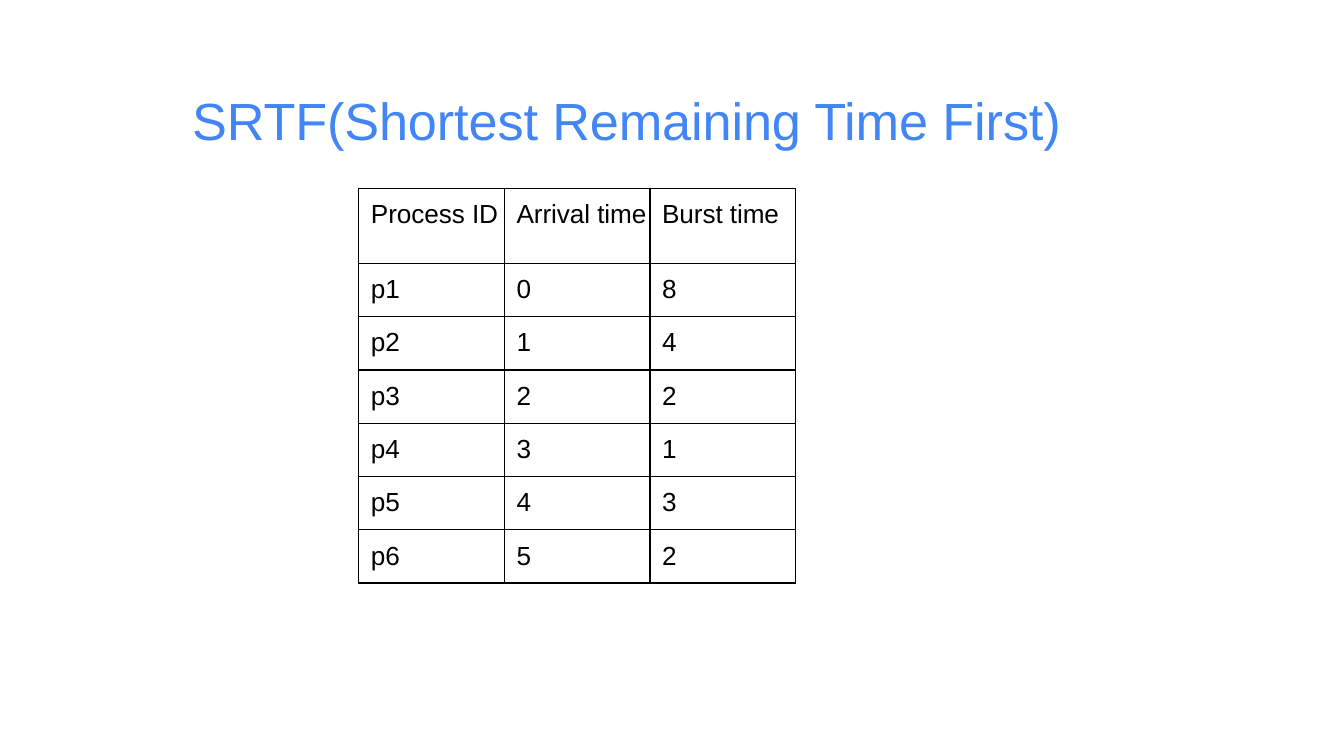
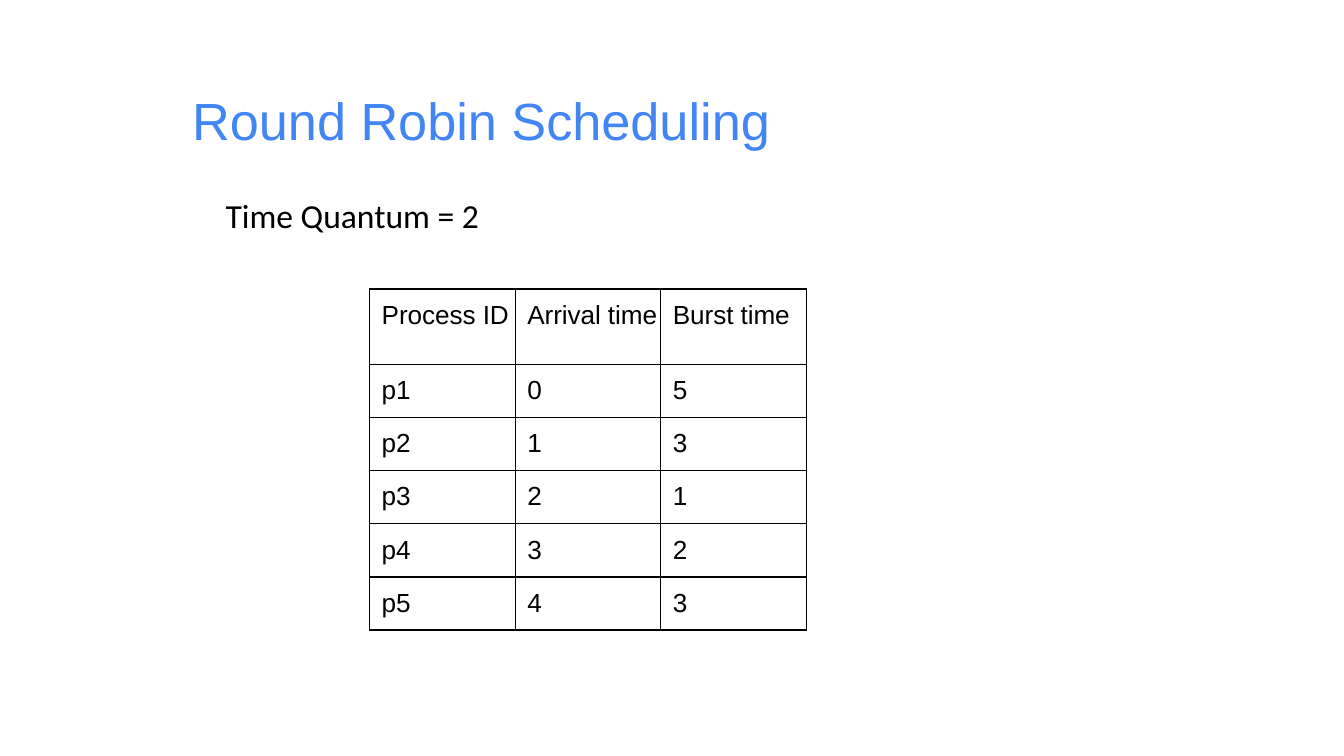
from dataclasses import dataclass

from lxml import etree
from pptx import Presentation
from pptx.dml.color import RGBColor
from pptx.enum import text as t
from pptx.oxml import ns
from pptx.util import Inches, Pt


@dataclass(frozen=True)
class Theme:
    background: str = "FFFFFF"
    title: str = "4285F4"
    ink: str = "000000"
    title_font: str = "Arial"
    note_font: str = "Calibri"
    title_size: float = 28
    note_size: float = 18
    cell_size: float = 14
    cell_gap: float = 6.2
    tight: float = -0.05
    border: float = 0.75


THEME = Theme()
SLIDE_WIDTH = 10
SLIDE_HEIGHT = SLIDE_WIDTH * 9 / 16
TITLE_BOX = (1.42, 0.65, 7.08, 0.49)
NOTE_BOX = (1.58, 1.4, 2.5, 0.4)
TABLE_WIDTH = 3.25
HEADER_HEIGHT = 0.56
HEADERS = ("Process ID", "Arrival time", "Burst time")

SLIDES = [
    {
        "title": "SRTF(Shortest Remaining Time First)",
        "title_spacing": THEME.tight,
        "table_box": (2.67, 1.4, TABLE_WIDTH, 2.94),
        "bursts": (8, 4, 2, 1, 3, 2),
    },
    {
        "title": "Round Robin Scheduling",
        "title_spacing": 0,
        "table_box": (2.75, 2.15, TABLE_WIDTH, 2.54),
        "bursts": (5, 3, 1, 2, 3),
        "note": "Time Quantum = 2",
    },
]


def inches(box):
    return [Inches(value) for value in box]


def write_text(frame, content, font=THEME.title_font, size=THEME.cell_size,
               color=THEME.ink, before=0, indent=0, spacing=0):
    paragraph = frame.paragraphs[0]
    paragraph.space_before = Pt(before)
    if indent:
        properties = paragraph._p.get_or_add_pPr()
        properties.set("marL", str(Inches(indent)))
        properties.set("indent", "0")
    run = paragraph.add_run()
    run.text = content
    run.font.name = font
    run.font.size = Pt(size)
    run.font.color.rgb = RGBColor.from_string(color)
    if spacing:
        run._r.get_or_add_rPr().set("spc", str(round(spacing * 100)))


def add_textbox(slide, box, content, **style):
    frame = slide.shapes.add_textbox(*inches(box)).text_frame
    frame.word_wrap = True
    frame.auto_size = t.MSO_AUTO_SIZE.SHAPE_TO_FIT_TEXT
    write_text(frame, content, **style)
    return frame


def add_title(slide, content, spacing):
    frame = add_textbox(slide, TITLE_BOX, content, size=THEME.title_size,
                        color=THEME.title, before=1, indent=0.01, spacing=spacing)
    frame.margin_left = frame.margin_right = frame.margin_bottom = 0
    frame.margin_top = Inches(0.01)


def add_borders(cell):
    properties = cell._tc.get_or_add_tcPr()
    for side in ("lnL", "lnR", "lnT", "lnB"):
        line = etree.SubElement(properties, ns.qn(f"a:{side}"), w=str(Pt(THEME.border)))
        fill = etree.SubElement(line, ns.qn("a:solidFill"))
        etree.SubElement(fill, ns.qn("a:srgbClr"), val=THEME.ink)


def add_process_table(slide, box, bursts):
    processes = [(f"p{arrival + 1}", str(arrival), str(burst))
                 for arrival, burst in enumerate(bursts)]
    rows = [HEADERS, *processes]
    table = slide.shapes.add_table(len(rows), len(HEADERS), *inches(box)).table
    table.first_row = table.horz_banding = False
    for column in table.columns:
        column.width = Inches(TABLE_WIDTH / len(HEADERS))
    body_height = (box[3] - HEADER_HEIGHT) / len(processes)
    for row_index, values in enumerate(rows):
        table.rows[row_index].height = Inches(body_height if row_index else HEADER_HEIGHT)
        for column_index, value in enumerate(values):
            cell = table.cell(row_index, column_index)
            cell.margin_left = cell.margin_right = cell.margin_bottom = 0
            cell.margin_top = Pt(THEME.cell_gap)
            add_borders(cell)
            cell.fill.background()
            write_text(cell.text_frame, value, before=THEME.cell_gap, indent=0.09,
                       spacing=0 if value.isdigit() else THEME.tight)


def main():
    presentation = Presentation()
    presentation.slide_width = Inches(SLIDE_WIDTH)
    presentation.slide_height = Inches(SLIDE_HEIGHT)
    for content in SLIDES:
        slide = presentation.slides.add_slide(presentation.slide_layouts[6])
        slide.background.fill.solid()
        slide.background.fill.fore_color.rgb = RGBColor.from_string(THEME.background)
        add_title(slide, content["title"], content["title_spacing"])
        add_process_table(slide, content["table_box"], content["bursts"])
        if "note" in content:
            add_textbox(slide, NOTE_BOX, content["note"],
                        font=THEME.note_font, size=THEME.note_size)
    presentation.save("out.pptx")


if __name__ == "__main__":
    main()
